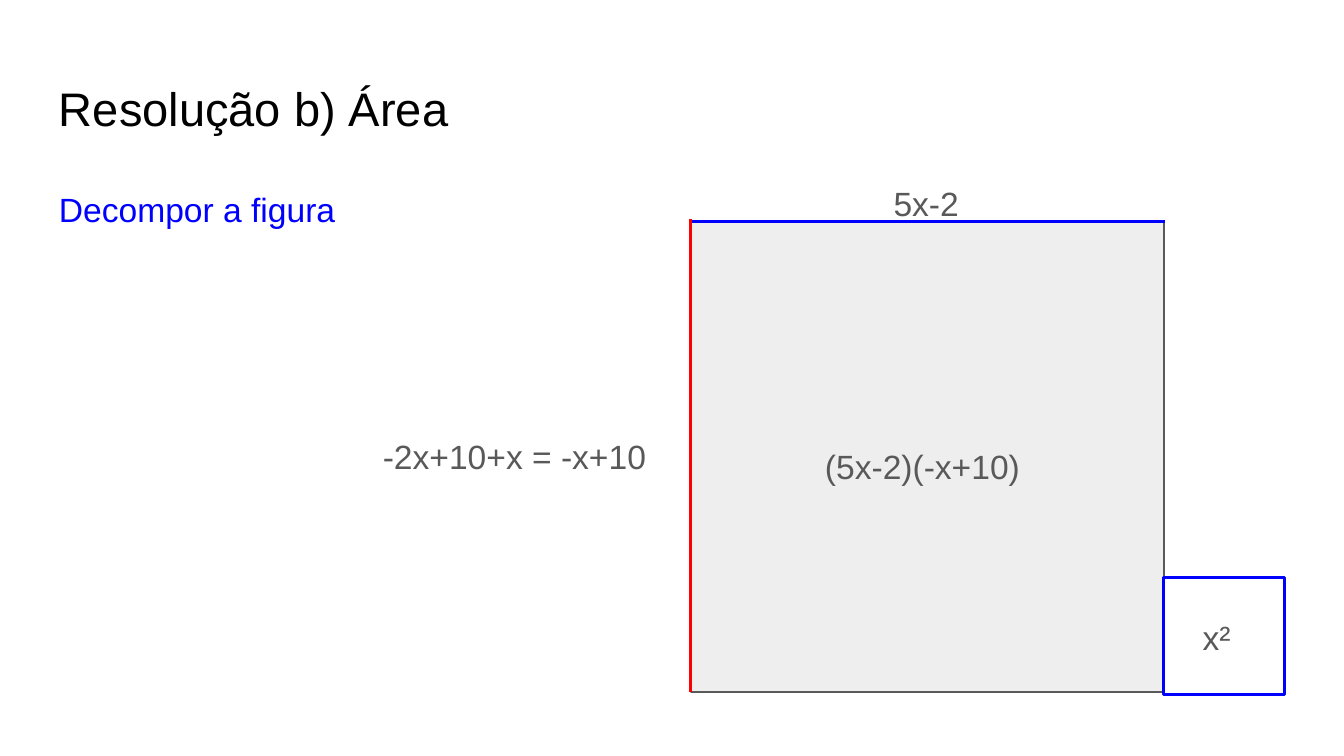
from typing import NamedTuple, Optional

from lxml import etree
from pptx import Presentation
from pptx.dml.color import RGBColor
from pptx.enum.shapes import MSO_CONNECTOR, MSO_SHAPE
from pptx.oxml.ns import qn
from pptx.util import Inches, Pt

RECT = MSO_SHAPE.RECTANGLE
STRAIGHT = MSO_CONNECTOR.STRAIGHT

BLACK, GRAY, LIGHT = "000000", "595959", "EEEEEE"
BLUE, RED = "0000FF", "FF0000"


class Label(NamedTuple):
    text: str
    left: float
    top: float
    width: float
    height: float = 0.5
    size: float = 18
    color: str = GRAY
    line_spacing: float = 1.0


class Box(NamedTuple):
    left: float
    top: float
    width: float
    height: float
    line: str
    weight: float
    fill: Optional[str] = None


class Edge(NamedTuple):
    x1: float
    y1: float
    x2: float
    y2: float
    color: str


BIG_RECTANGLE = Box(5.14, 1.65, 3.52, 3.5, GRAY, 0.75, LIGHT)
SMALL_SQUARE = Box(8.66, 4.3, 0.9, 0.87, BLUE, 1.5)
TOP_EDGE = Edge(5.14, 1.65, 8.67, 1.65, BLUE)
LEFT_EDGE = Edge(5.14, 1.63, 5.14, 5.15, RED)

LABELS = [
    Label("Resolução b) Área", 0.34, 0.49, 9.32, 0.63, 25.2, BLACK),
    Label("Decompor a figura", 0.34, 1.26, 4.56, 0.87, color=BLUE, line_spacing=1.15),
    Label("5x-2", 6.55, 1.26, 0.71),
    Label("-2x+10+x = -x+10", 2.75, 3.14, 2.25),
    Label("(5x-2)(-x+10)", 6.04, 3.22, 1.74),
    Label("x²", 8.85, 4.49, 0.53),
]


def rgb(value: str) -> RGBColor:
    return RGBColor.from_string(value)


def add_box(slide, box: Box) -> None:
    sp = slide.shapes.add_shape(RECT, Inches(box.left), Inches(box.top),
                                Inches(box.width), Inches(box.height))
    sp.shadow.inherit = False
    if box.fill:
        sp.fill.solid()
        sp.fill.fore_color.rgb = rgb(box.fill)
    else:
        sp.fill.background()
    sp.line.color.rgb = rgb(box.line)
    sp.line.width = Pt(box.weight)


def add_edge(slide, edge: Edge) -> None:
    line = slide.shapes.add_connector(STRAIGHT, Inches(edge.x1), Inches(edge.y1),
                                      Inches(edge.x2), Inches(edge.y2))
    line.line.color.rgb = rgb(edge.color)
    line.line.width = Pt(1.5)
    etree.SubElement(line._element.spPr, qn("a:effectLst"))


def add_label(slide, label: Label) -> None:
    sp = slide.shapes.add_textbox(Inches(label.left), Inches(label.top),
                                  Inches(label.width), Inches(label.height))
    tf = sp.text_frame
    tf.word_wrap = True
    tf.margin_left = tf.margin_right = tf.margin_top = tf.margin_bottom = Inches(0.1)
    tf.text = label.text
    p = tf.paragraphs[0]
    p.line_spacing = label.line_spacing
    font = p.runs[0].font
    font.name = "Arial"
    font.size = Pt(label.size)
    font.color.rgb = rgb(label.color)


def main() -> None:
    prs = Presentation()
    prs.slide_width = Inches(10)
    prs.slide_height = prs.slide_width * 9 // 16
    slide = prs.slides.add_slide(prs.slide_layouts[6])
    add_box(slide, BIG_RECTANGLE)
    add_edge(slide, TOP_EDGE)
    add_box(slide, SMALL_SQUARE)
    add_edge(slide, LEFT_EDGE)
    for label in LABELS:
        add_label(slide, label)
    prs.save("out.pptx")


if __name__ == "__main__":
    main()
